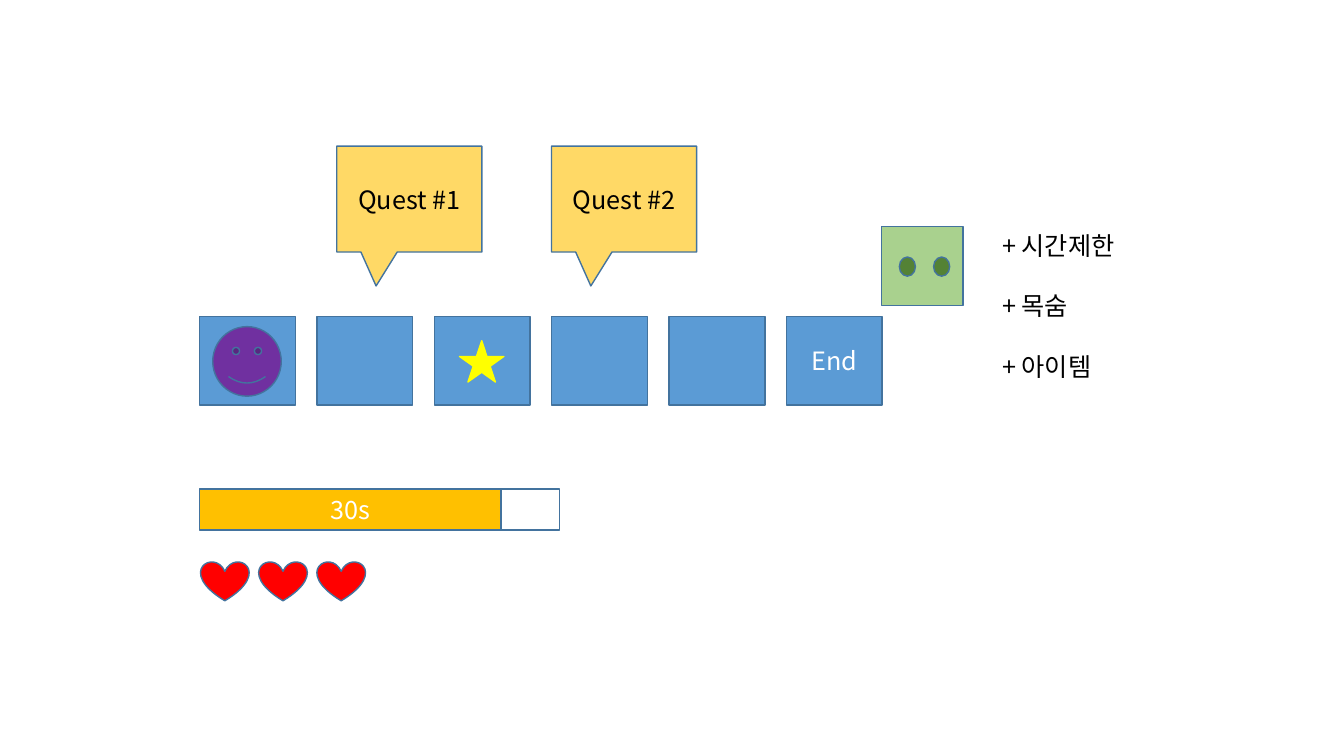
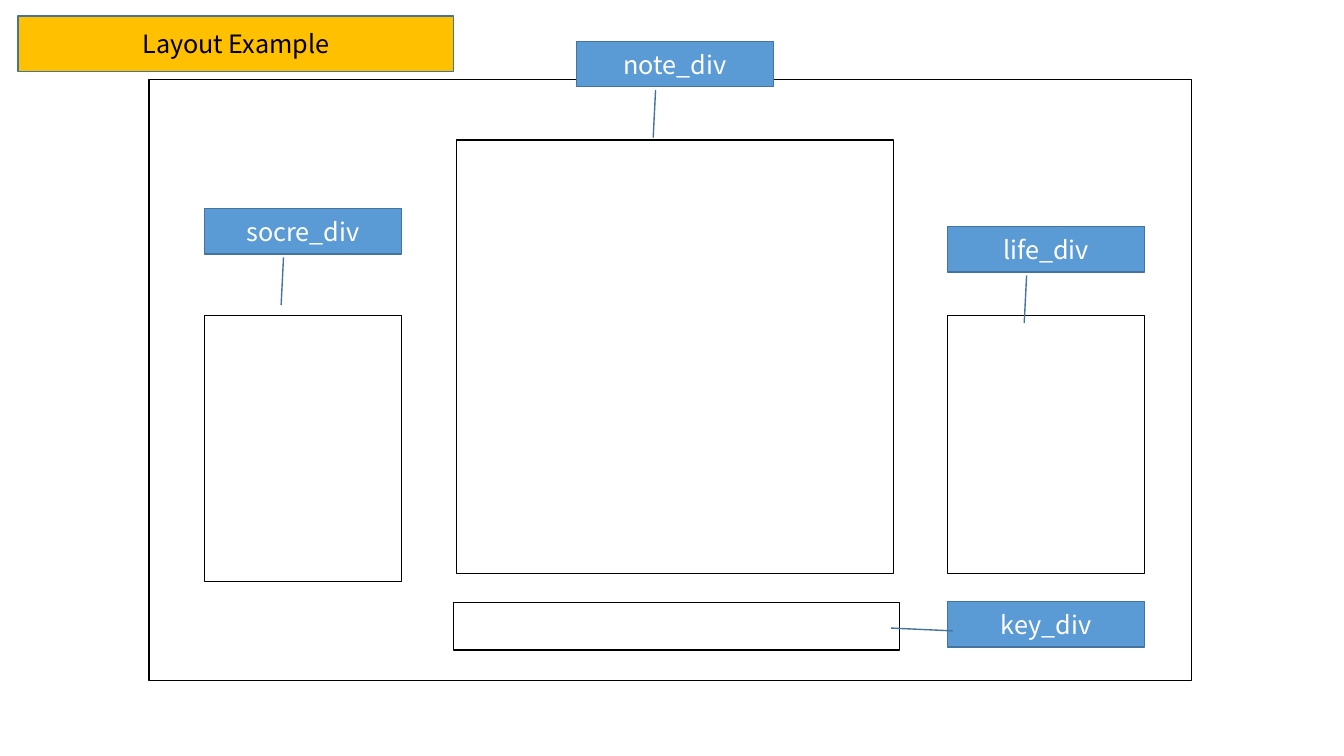
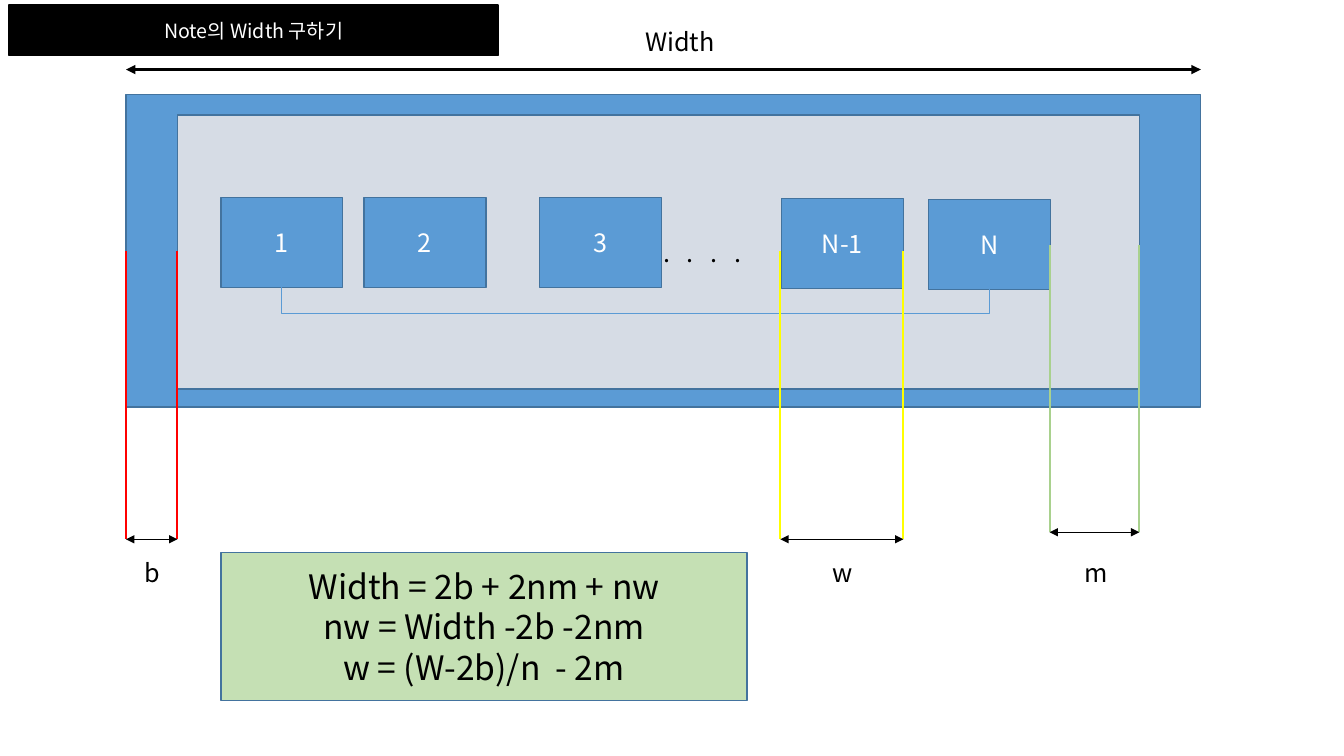
import lxml.etree
import pptx
import pptx.dml.color
import pptx.enum.shapes
import pptx.enum.text
import pptx.oxml.ns
import pptx.util

Inches = pptx.util.Inches
SHAPE = pptx.enum.shapes.MSO_SHAPE
CONNECTOR = pptx.enum.shapes.MSO_CONNECTOR
ALIGN = pptx.enum.text.PP_ALIGN
qn = pptx.oxml.ns.qn

FONT = "Noto Sans CJK KR"
BLUE, EDGE, GOLD = "5B9BD5", "43739E", "FFC000"
BLACK, WHITE, RED, YELLOW, GREEN = "000000", "FFFFFF", "FF0000", "FFFF00", "A9D18E"


def colour(value):
    """Turn a hex string into a colour."""
    return pptx.dml.color.RGBColor.from_string(value)


def style_paragraph(para, size, ink, align):
    """Give a paragraph its font, size, colour and alignment."""
    para.alignment = align
    para.font.size = pptx.util.Pt(size)
    para.font.color.rgb = colour(ink)
    para.font.name = FONT
    lxml.etree.SubElement(para.font._element, qn("a:ea"), typeface=FONT)


def write(frame, lines, size=18, ink=BLACK, align=ALIGN.CENTER):
    """Write one paragraph per line into a text frame."""
    frame.text = "\n".join(lines)
    for para in frame.paragraphs:
        style_paragraph(para, size, ink, align)


def add_box(page, box, fill=None, line=EDGE, text="", ink=WHITE, size=18,
            kind=SHAPE.RECTANGLE, adjust=()):
    """Add a preset shape with optional centred text."""
    shape = page.shapes.add_shape(kind, *map(Inches, box))
    shape.shadow.inherit = False
    for index, value in enumerate(adjust):
        shape.adjustments[index] = value
    if fill:
        shape.fill.solid()
        shape.fill.fore_color.rgb = colour(fill)
    else:
        shape.fill.background()
    if line:
        shape.line.color.rgb = colour(line)
        shape.line.width = pptx.util.Pt(1)
    else:
        shape.line.fill.background()
    if text:
        shape.text_frame.vertical_anchor = pptx.enum.text.MSO_ANCHOR.MIDDLE
        write(shape.text_frame, text.split("\n"), size, ink)
    return shape


def add_line(page, start, end, ink=BLACK, width=1, arrows=False, kind=CONNECTOR.STRAIGHT):
    """Add a connector, with arrowheads at both ends if asked."""
    line = page.shapes.add_connector(kind, *map(Inches, start + end))
    line.line.color.rgb = colour(ink)
    line.line.width = pptx.util.Pt(width)
    if arrows:
        outline = line.line._get_or_add_ln()
        for end_name in ("a:headEnd", "a:tailEnd"):
            lxml.etree.SubElement(outline, qn(end_name), type="triangle")
    lxml.etree.SubElement(line._element.spPr, qn("a:effectLst"))
    return line


def add_label(page, box, text):
    """Add a short caption that fits its text."""
    frame = page.shapes.add_textbox(*map(Inches, box)).text_frame
    frame.word_wrap = False
    frame.auto_size = pptx.enum.text.MSO_AUTO_SIZE.SHAPE_TO_FIT_TEXT
    write(frame, [text], align=ALIGN.LEFT)


def add_track(page, left, top):
    """Place the row of tiles with the player, star and quests."""
    step = 1.164
    for index in range(6):
        add_box(page, (left + index * step, top, 0.95, 0.88), BLUE,
                text="End" if index == 5 else "")
    add_box(page, (left + 0.13, top + 0.1, 0.68, 0.69), "7030A0", kind=SHAPE.SMILEY_FACE)
    add_box(page, (left + 2 * step + 0.25, top + 0.24, 0.44, 0.41), YELLOW, YELLOW,
            kind=SHAPE.STAR_5_POINT)
    for number, offset in ((1, 1.36), (2, 3.49)):
        add_box(page, (left + offset, top - 1.69, 1.44, 1.05), "FFD966",
                text=f"Quest #{number}", ink=BLACK,
                kind=SHAPE.RECTANGULAR_CALLOUT, adjust=(-0.229, 0.821))


def add_monster(page, left, top):
    """Place the square monster with two eyes."""
    add_box(page, (left, top, 0.81, 0.78), GREEN, kind=SHAPE.FLOWCHART_PROCESS)
    for offset in (0.18, 0.52):
        add_box(page, (left + offset, top + 0.3, 0.16, 0.19), "548235", kind=SHAPE.OVAL)


def add_status(page, left, top):
    """Place the timer bar and the row of hearts."""
    add_box(page, (left + 0.58, top, 2.99, 0.41))
    add_box(page, (left, top, 2.99, 0.41), GOLD, text="30s")
    for index in range(3):
        add_box(page, (left + 0.01 + index * 0.577, top + 0.72, 0.48, 0.39), RED,
                kind=SHAPE.HEART)


def add_features(page, box, features):
    """Place the indented list of extra features."""
    panel = add_box(page, box, line=None, text="\n".join(features), ink=BLACK,
                    kind=SHAPE.FLOWCHART_PROCESS)
    for index, para in enumerate(panel.text_frame.paragraphs):
        para.alignment = ALIGN.LEFT
        para.level = 1
        if index:
            para.space_before = pptx.util.Pt(21.6)


def build_game(page):
    """Build the game sketch slide."""
    add_track(page, 1.98, 3.14)
    add_monster(page, 8.74, 2.25)
    add_status(page, 1.98, 4.85)
    add_features(page, (9.34, 1.87, 3.38, 2.33), ("+ 시간제한", "+ 목숨", "+ 아이템"))


def build_layout(page):
    """Build the slide of named screen regions."""
    regions = ((1.48, 0.79, 10.34, 5.96), (2.03, 3.13, 1.95, 2.64), (4.53, 1.39, 4.33, 4.3),
               (9.4, 3.13, 1.95, 2.56), (4.5, 5.98, 4.42, 0.47))
    for region in regions:
        add_box(page, region, line=BLACK)
    down, across = (1.074, 0.401, 2.125, 0.389), (0.642, 0.025, 0.58, -0.288)
    tags = (("socre_div", 2.03, 2.07, down), ("note_div", 5.72, 0.41, down),
            ("life_div", 9.4, 2.25, down), ("key_div", 9.4, 5.97, across))
    for name, left, top, pointer in tags:
        add_box(page, (left, top, 1.95, 0.45), BLUE, text=name,
                kind=SHAPE.LINE_CALLOUT_1, adjust=pointer)
    add_box(page, (0.18, 0.16, 4.32, 0.55), GOLD, text="Layout Example", ink=BLACK)


def add_notes_panel(page, left, top):
    """Place the bordered panel with its numbered notes."""
    add_box(page, (left, top, 10.66, 3.1), BLUE)
    inner = add_box(page, (left + 0.51, top + 0.2, 9.54, 2.72), "D6DCE5",
                    text=". . . .", ink=BLACK)
    inner.text_frame.margin_left = Inches(0.97)
    inner.text_frame.paragraphs[0].runs[0].font._element.set("spc", "400")
    notes = (("1", 0.94, 1.02), ("2", 2.36, 1.02), ("3", 4.1, 1.02),
             ("N-1", 6.5, 1.03), ("N", 7.96, 1.04))
    for name, across, down in notes:
        add_box(page, (left + across, top + down, 1.21, 0.89), BLUE, text=name)
    add_bracket(page, left + 1.54, left + 8.56, top + 1.91)


def add_bracket(page, left, right, top):
    """Join the first and last notes from below."""
    middle, half = (left + right) / 2, (right - left) / 2
    bracket = add_line(page, (middle + 0.01, top + 0.01 - half),
                       (middle - 0.01, top + 0.01 + half), BLUE, 0.5, kind=CONNECTOR.ELBOW)
    properties = bracket._element.spPr
    properties.find(qn("a:xfrm")).set("rot", str(270 * 60000))
    guides = properties.find(qn("a:prstGeom")).find(qn("a:avLst"))
    lxml.etree.SubElement(guides, qn("a:gd"), name="adj1", fmla="val 1300000")


def add_measure(page, left, right, top, bottom, ink):
    """Mark a width with two guide lines and a double arrow."""
    for across in (left, right):
        add_line(page, (across, top), (across, bottom), ink, 1.5)
    add_line(page, (left, bottom), (right, bottom), arrows=True)


def build_width(page):
    """Build the slide that works out the note width."""
    add_notes_panel(page, 1.25, 0.94)
    add_measure(page, 1.25, 1.76, 2.49, 5.35, RED)
    add_measure(page, 10.41, 11.3, 2.43, 5.28, GREEN)
    add_measure(page, 7.74, 8.96, 2.49, 5.35, YELLOW)
    add_line(page, (1.25, 0.69), (11.91, 0.69), width=2.25, arrows=True)
    labels = (("b", 1.33, 5.48, 0.35), ("w", 8.16, 5.48, 0.39),
              ("m", 10.66, 5.48, 0.42), ("Width", 6.3, 0.21, 0.89))
    for text, left, top, width in labels:
        add_label(page, (left, top, width, 0.4), text)
    add_box(page, (2.19, 5.48, 5.22, 1.47), "C5E0B4", ink=BLACK, size=24,
            text="Width = 2b + 2nm + nw\nnw = Width -2b -2nm\nw = (W-2b)/n  - 2m")
    add_box(page, (0.09, 0.05, 4.85, 0.5), BLACK, BLACK, "Note의 Width 구하기", size=14)


def main():
    """Build and save the deck."""
    deck = pptx.Presentation()
    deck.slide_width, deck.slide_height = Inches(13.33), Inches(7.5)
    for build in (build_game, build_layout, build_width):
        build(deck.slides.add_slide(deck.slide_layouts[6]))
    deck.save("out.pptx")


main()
